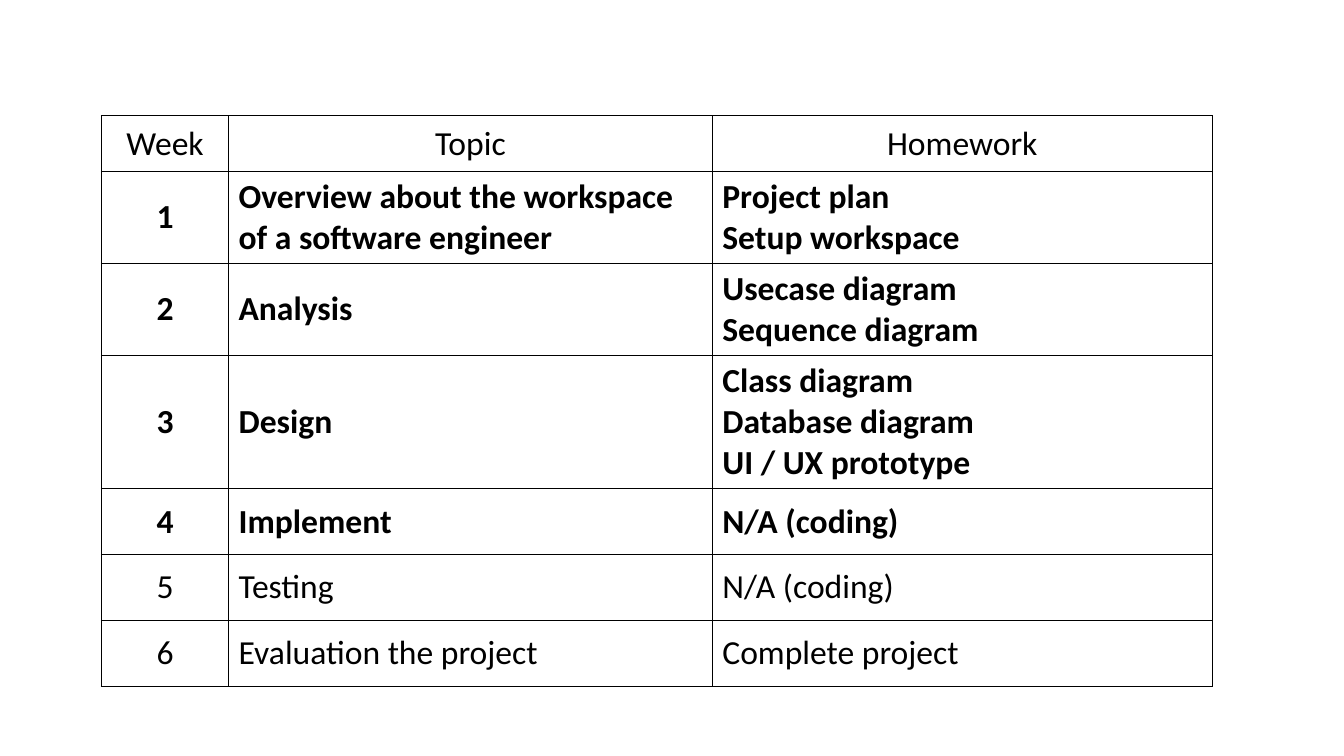
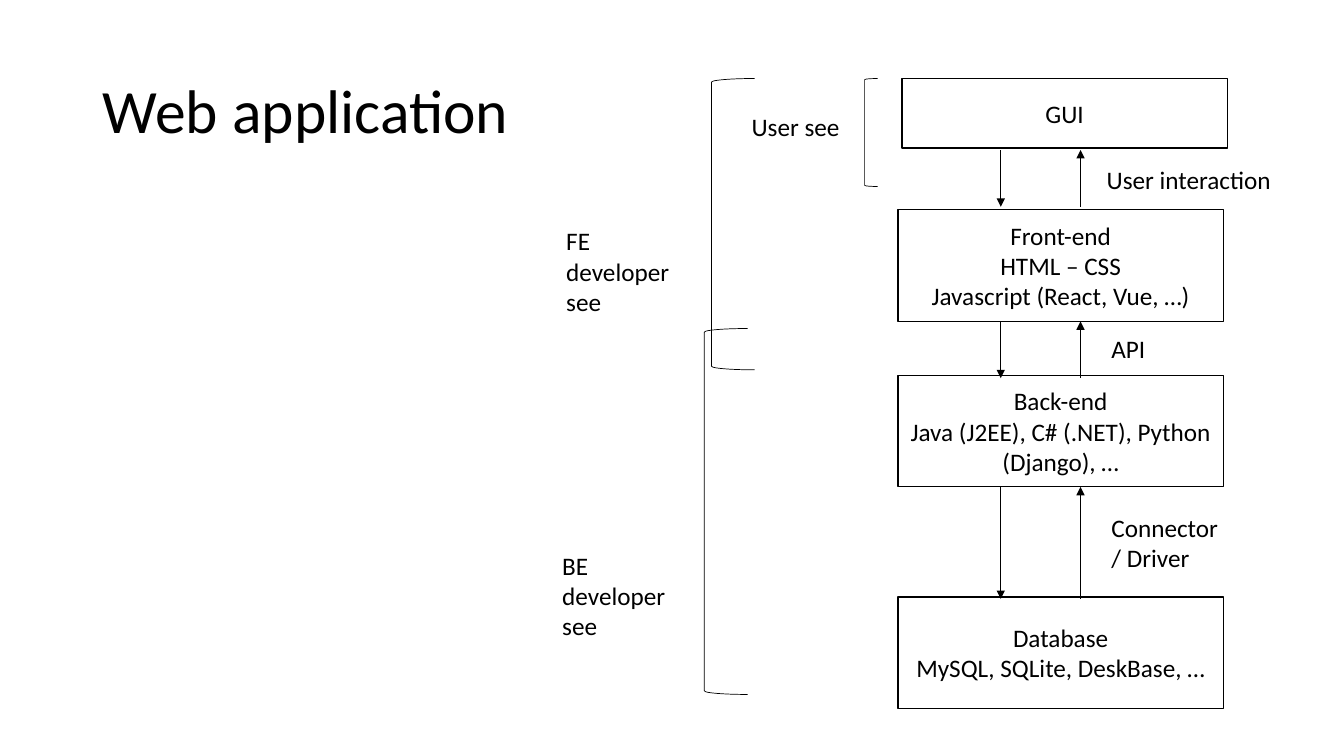
import pptx
import pptx.dml.color
import pptx.enum.shapes
import pptx.enum.text
import pptx.oxml
import pptx.oxml.ns
import pptx.util

Cm = pptx.util.Cm
Pt = pptx.util.Pt
SHAPE = pptx.enum.shapes.MSO_SHAPE
MIDDLE = pptx.enum.text.MSO_ANCHOR.MIDDLE
TOP = pptx.enum.text.MSO_ANCHOR.TOP
LEFT = pptx.enum.text.PP_ALIGN.LEFT
CENTER = pptx.enum.text.PP_ALIGN.CENTER

COLORS = {"ink": "000000"}
FONT = "Calibri"

COLS = [3.2, 12.19, 12.6]
ROWS = [1.4, 2.32, 2.32, 3.35, 1.66, 1.66, 1.66]
HEAD = ["Week", "Topic", "Homework"]
# Topic, homework lines, bold
WEEKS = [
    ("Overview about the workspace of a software engineer",
     ["Project plan", "Setup workspace"], True),
    ("Analysis", ["Usecase diagram", "Sequence diagram"], True),
    ("Design", ["Class diagram", "Database diagram", "UI / UX prototype"], True),
    ("Implement", ["N/A (coding)"], True),
    ("Testing", ["N/A (coding)"], False),
    ("Evaluation the project", ["Complete project"], False),
]

# Left, top, height, lines
TIERS = [
    (22.73, 1.98, 1.75, ["GUI"]),
    (22.63, 5.28, 2.82, ["Front-end", "HTML – CSS", "Javascript (React, Vue, …)"]),
    (22.63, 9.47, 2.79, ["Back-end", "Java (J2EE), C# (.NET), Python (Django), …"]),
    (22.63, 15.04, 2.82, ["Database", "MySQL, SQLite, DeskBase, …"]),
]
TIER_W = 8.2
DOWN_X, UP_X = 25.22, 27.23
GAPS = [(3.78, 5.21), (8.1, 9.53), (12.27, 15.09)]
# Left, top, width, height
BRACKETS = [
    (21.79, 1.98, 0.33, 2.72),
    (17.93, 1.98, 1.09, 7.34),
    (17.75, 8.28, 1.09, 9.22),
]
LABELS = [
    ("User see", 18.69, 2.69, 2.84, 1.02),
    ("User interaction", 27.64, 4.01, 5.08, 1.02),
    ("API", 27.76, 8.28, 3, 1.02),
    ("Connector / Driver", 27.76, 12.78, 3.33, 1.8),
    ("FE developer see", 14.02, 5.56, 3.4, 2.57),
    ("BE developer see", 13.92, 13.74, 3.4, 2.57),
]


def ink():
    return pptx.dml.color.RGBColor.from_string(COLORS["ink"])


def write(frame, lines, size, align=LEFT, bold=False):
    """Put each line in its own paragraph."""
    for i, line in enumerate(lines):
        para = frame.paragraphs[0] if i == 0 else frame.add_paragraph()
        para.alignment = align
        run = para.add_run()
        run.text = line
        run.font.name = FONT
        run.font.size = Pt(size)
        run.font.bold = bold
        run.font.color.rgb = ink()


def add_text(slide, text, left, top, width, height, size=18, anchor=TOP):
    box = slide.shapes.add_textbox(Cm(left), Cm(top), Cm(width), Cm(height))
    frame = box.text_frame
    frame.word_wrap = True
    frame.vertical_anchor = anchor
    write(frame, [text], size)
    return frame


def add_shape(slide, kind, left, top, width, height, weight):
    """Add an unfilled, outlined shape."""
    shape = slide.shapes.add_shape(kind, Cm(left), Cm(top), Cm(width), Cm(height))
    shape.shadow.inherit = False
    shape.fill.background()
    shape.line.color.rgb = ink()
    shape.line.width = Pt(weight)
    return shape


def add_tier(slide, left, top, height, lines):
    frame = add_shape(slide, SHAPE.RECTANGLE, left, top, TIER_W, height, 1).text_frame
    frame.word_wrap = True
    frame.vertical_anchor = MIDDLE
    write(frame, lines, 18, CENTER)


def add_arrow(slide, x, start, end):
    kind = pptx.enum.shapes.MSO_CONNECTOR.STRAIGHT
    arrow = slide.shapes.add_connector(kind, Cm(x), Cm(start), Cm(x), Cm(end))
    arrow.line.color.rgb = ink()
    arrow.line.width = Pt(0.5)
    ns = pptx.oxml.ns.nsdecls("a")
    tip = pptx.oxml.parse_xml(f'<a:tailEnd {ns} type="triangle"/>')
    arrow.line._get_or_add_ln().append(tip)
    arrow._element.spPr.append(pptx.oxml.parse_xml(f"<a:effectLst {ns}/>"))


def add_edges(cell):
    """Draw a thin line on all four sides of a cell."""
    props = cell._tc.get_or_add_tcPr()
    for side in "LRTB":
        props.append(pptx.oxml.parse_xml(
            f'<a:ln{side} {pptx.oxml.ns.nsdecls("a")} w="{Pt(1)}"><a:solidFill>'
            f'<a:srgbClr val="{COLORS["ink"]}"/></a:solidFill></a:ln{side}>'))


def fill_cell(cell, lines, align, bold):
    add_edges(cell)
    cell.fill.background()
    cell.vertical_anchor = MIDDLE
    write(cell.text_frame, lines, 24, align, bold)


def add_plan(slide):
    """Add the table of weeks."""
    table = slide.shapes.add_table(
        len(ROWS), len(COLS), Cm(2.56), Cm(2.92), Cm(sum(COLS)), Cm(sum(ROWS))).table
    table.first_row = False
    table.horz_banding = False
    for col, width in zip(table.columns, COLS):
        col.width = Cm(width)
    for row, height in zip(table.rows, ROWS):
        row.height = Cm(height)
    for c, name in enumerate(HEAD):
        fill_cell(table.cell(0, c), [name], CENTER, False)
    for week, (topic, work, bold) in enumerate(WEEKS, 1):
        fill_cell(table.cell(week, 0), [str(week)], CENTER, bold)
        fill_cell(table.cell(week, 1), [topic], LEFT, bold)
        fill_cell(table.cell(week, 2), work, LEFT, bold)


def add_stack(slide):
    """Add the tiers of a web application, their links and their viewers."""
    title = add_text(slide, "Web application", 2.34, 1.02, 29.21, 3.68, 44, MIDDLE)
    title.paragraphs[0].line_spacing = 0.9
    for tier in TIERS:
        add_tier(slide, *tier)
    for top, end in GAPS:
        add_arrow(slide, DOWN_X, top, end)
        add_arrow(slide, UP_X, end, top)
    for place in BRACKETS:
        add_shape(slide, SHAPE.LEFT_BRACKET, *place, 0.5)
    for label in LABELS:
        add_text(slide, *label)


def main():
    deck = pptx.Presentation()
    deck.slide_width, deck.slide_height = Cm(33.87), Cm(19.05)
    blank = deck.slide_layouts[6]
    for build in (add_plan, add_stack):
        build(deck.slides.add_slide(blank))
    deck.save("out.pptx")


if __name__ == "__main__":
    main()
